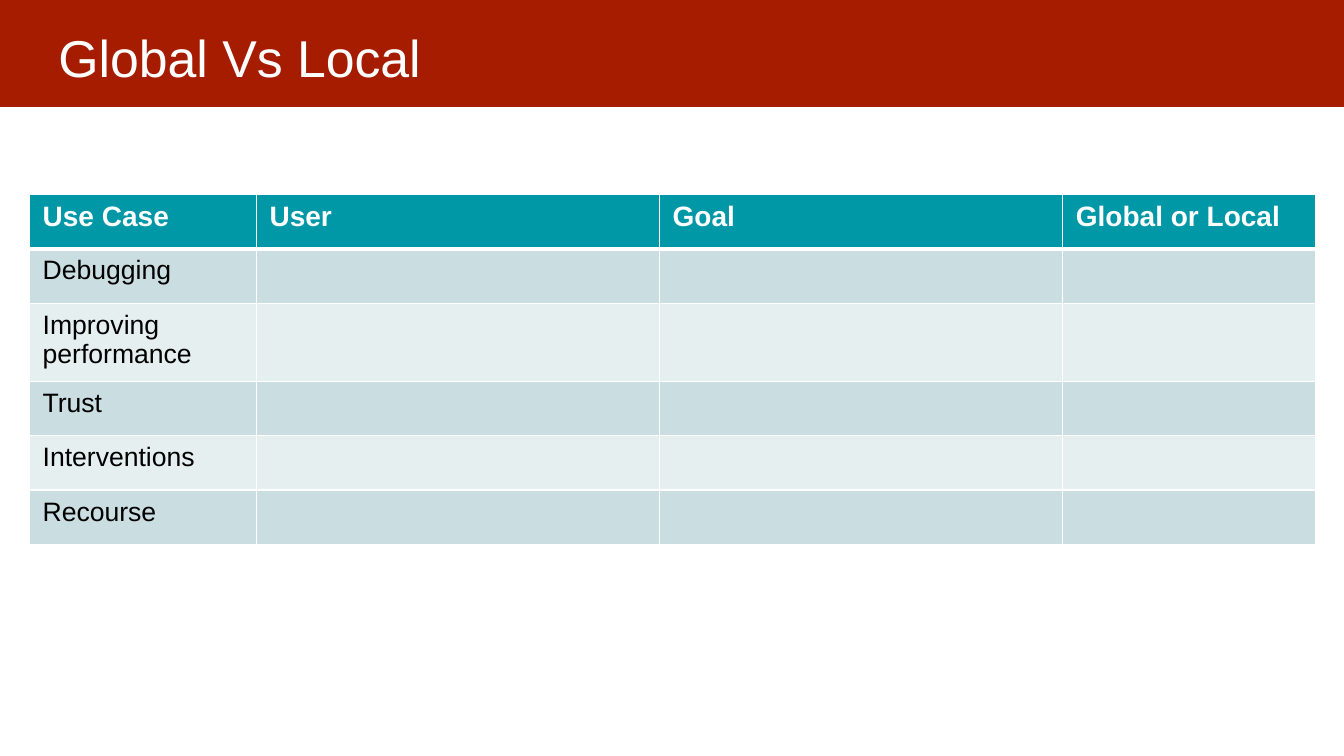
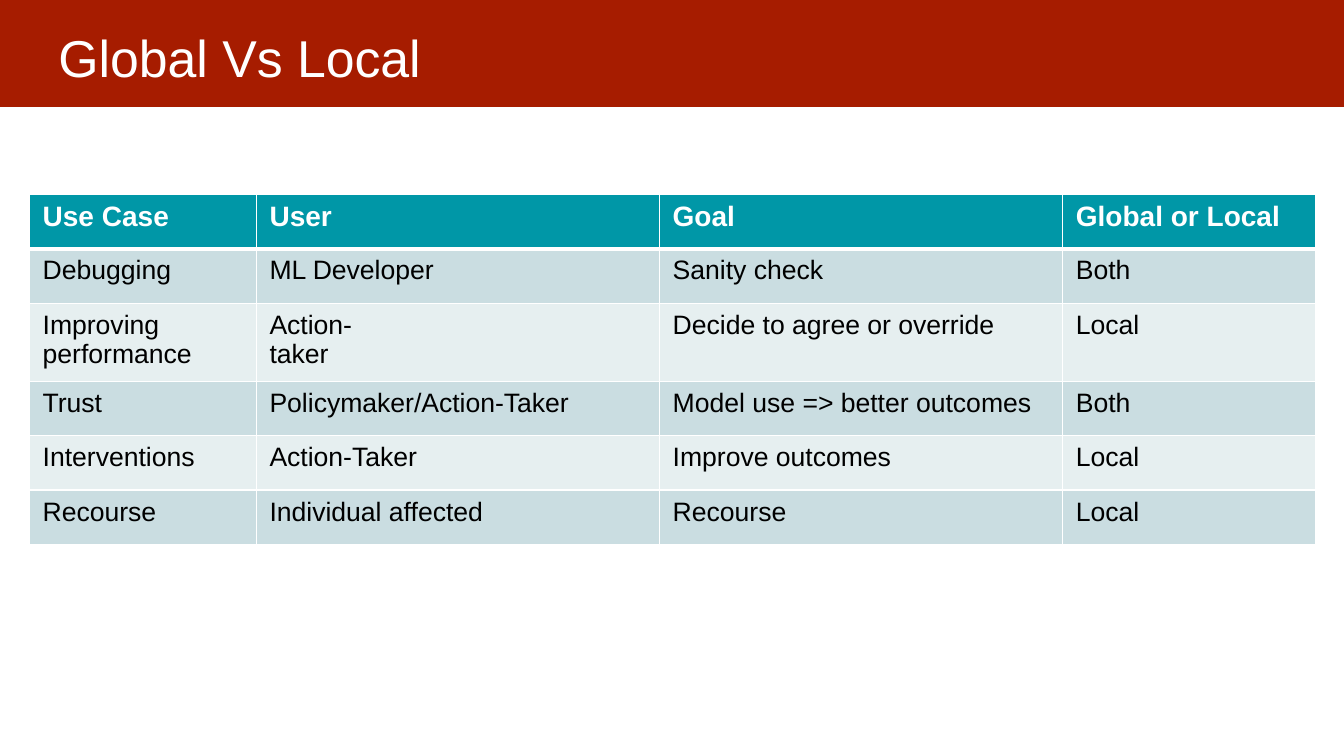
from dataclasses import dataclass

from lxml import etree
from pptx import Presentation
from pptx.dml.color import RGBColor
from pptx.enum.shapes import MSO_SHAPE
from pptx.enum.text import MSO_ANCHOR
from pptx.oxml.ns import qn
from pptx.util import Inches, Pt

RECT = MSO_SHAPE.RECTANGLE
MIDDLE = MSO_ANCHOR.MIDDLE
TOP = MSO_ANCHOR.TOP


@dataclass(frozen=True)
class Theme:
    font: str = "Arial"
    white: str = "FFFFFF"
    black: str = "000000"
    red: str = "A61C00"
    teal: str = "0097A7"
    bands: tuple = ("CADDE1", "E6EFF0")
    title: int = 37
    head: int = 20
    body: int = 19
    thin: int = 1
    thick: int = 3


HEADS = ["Use Case", "User", "Goal", "Global or Local"]
CASES = [
    ["Debugging", "ML Developer", "Sanity check", "Both"],
    ["Improving performance", "Action-\ntaker", "Decide to agree or override", "Local"],
    ["Trust", "Policymaker/Action-Taker", "Model use => better outcomes", "Both"],
    ["Interventions", "Action-Taker", "Improve outcomes", "Local"],
    ["Recourse", "Individual affected", "Recourse", "Local"],
]
# Lengths are in percent of the slide's width or height
BAND = (-0.15, -0.53, 100.2, 14.67)
TITLE = (3.38, 1.2, 93.17, 11.07)
START = (2.2, 25.73)
COLS = [16.88, 30, 30, 18.83]
ROWS = [7.2, 7.2, 10.13, 7.2, 7.2, 7.2]


def apply(item, values):
    for name, value in values.items():
        setattr(item, name, value)


def margins(left, top, right, bottom):
    names = ("margin_left", "margin_top", "margin_right", "margin_bottom")
    return dict(zip(names, map(Inches, (left, top, right, bottom))))


class Deck:
    def __init__(self, theme):
        self.theme = theme
        self.file = Presentation()
        self.file.slide_width = Inches(13.33)
        self.file.slide_height = Inches(7.5)
        self.slide = None

    def across(self, share):
        return round(self.file.slide_width * share / 100)

    def down(self, share):
        return round(self.file.slide_height * share / 100)

    def place(self, left, top, width, height):
        return self.across(left), self.down(top), self.across(width), self.down(height)

    def paint(self, target, color):
        target.fill.solid()
        target.fill.fore_color.rgb = RGBColor.from_string(color)

    def label(self, frame, text, size, color, bold=False):
        frame.text = text
        for para in frame.paragraphs:
            for run in para.runs:
                apply(run.font, {"name": self.theme.font, "size": Pt(size), "bold": bold})
                run.font.color.rgb = RGBColor.from_string(color)

    def start(self, title):
        """Add a slide with the title band."""
        self.slide = self.file.slides.add_slide(self.file.slide_layouts[6])
        band = self.slide.shapes.add_shape(RECT, *self.place(*BAND))
        band.shadow.inherit = False
        self.paint(band, self.theme.red)
        band.line.fill.background()
        frame = self.slide.shapes.add_textbox(*self.place(*TITLE)).text_frame
        apply(frame, {"word_wrap": True, "vertical_anchor": MIDDLE})
        apply(frame, margins(0.13, 0.19, 0.13, 0.07))
        self.label(frame, title, self.theme.title, self.theme.white)

    def edge(self, cell, side, width):
        line = etree.SubElement(cell._tc.get_or_add_tcPr(), qn(f"a:ln{side}"), w=str(Pt(width)))
        fill = etree.SubElement(line, qn("a:solidFill"))
        etree.SubElement(fill, qn("a:srgbClr"), val=self.theme.white)

    def cell(self, cell, row, text):
        theme = self.theme
        apply(cell, margins(0.13, 0.07, 0.13, 0.07))
        cell.vertical_anchor = TOP
        heavy = {0: "B", 1: "T"}.get(row)
        for side in "LRTB":
            self.edge(cell, side, theme.thick if side == heavy else theme.thin)
        if row == 0:
            self.paint(cell, theme.teal)
            self.label(cell.text_frame, text, theme.head, theme.white, True)
        else:
            self.paint(cell, theme.bands[(row - 1) % 2])
            self.label(cell.text_frame, text, theme.body, theme.black)

    def table(self, data):
        area = self.place(*START, sum(COLS), sum(ROWS))
        grid = self.slide.shapes.add_table(len(ROWS), len(COLS), *area).table
        grid.horz_banding = False
        for col, share in zip(grid.columns, COLS):
            col.width = self.across(share)
        for row, share in zip(grid.rows, ROWS):
            row.height = self.down(share)
        for row, texts in enumerate(data):
            for col, text in enumerate(texts):
                self.cell(grid.cell(row, col), row, text)


def main():
    deck = Deck(Theme())
    blank = [[case[0], "", "", ""] for case in CASES]
    for cases in (blank, CASES):
        deck.start("Global Vs Local")
        deck.table([HEADS] + cases)
    deck.file.save("out.pptx")


if __name__ == "__main__":
    main()
